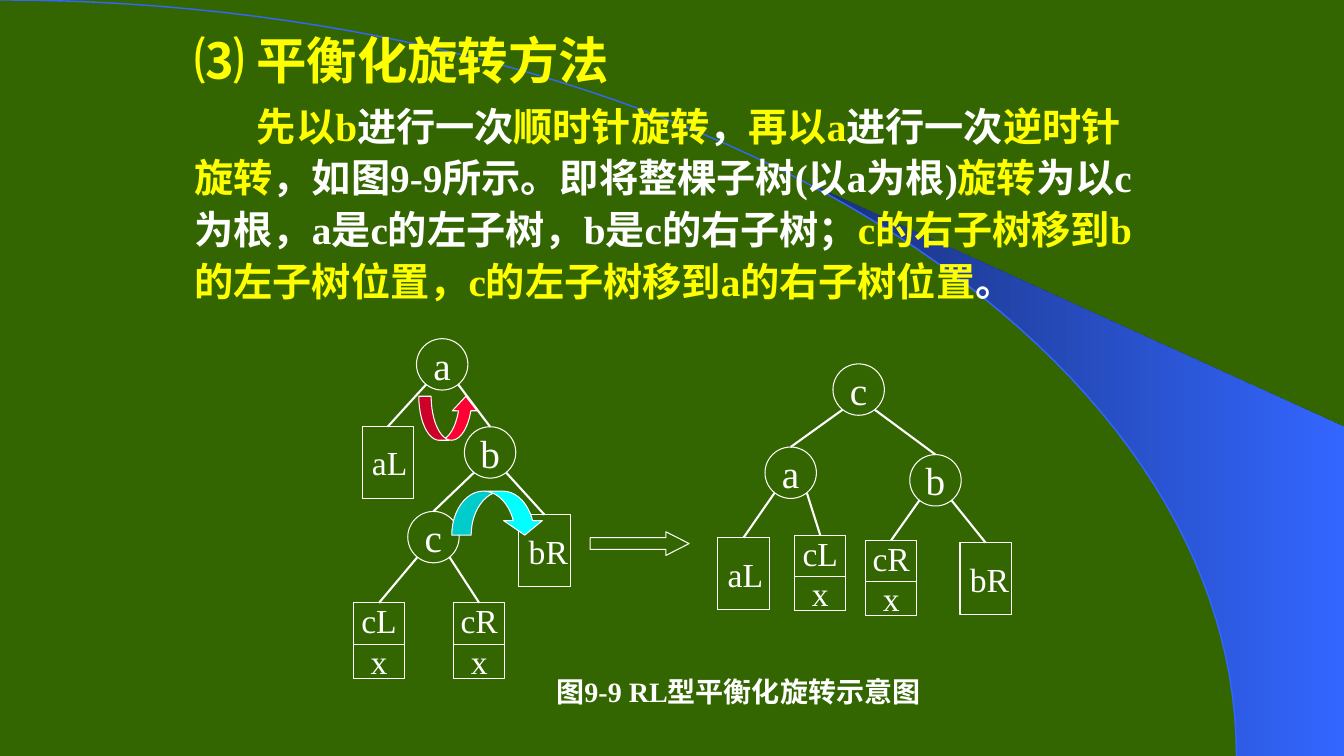
import math
from dataclasses import dataclass
from lxml import etree
from pptx import Presentation
from pptx.dml.color import RGBColor
from pptx.enum.shapes import MSO_CONNECTOR, MSO_SHAPE
from pptx.enum.text import MSO_ANCHOR, PP_ALIGN
from pptx.oxml.ns import qn
from pptx.util import Inches, Pt

LINE = MSO_CONNECTOR.STRAIGHT
RECT, OVAL = MSO_SHAPE.RECTANGLE, MSO_SHAPE.OVAL
ARROW = MSO_SHAPE.RIGHT_ARROW
CURVE_UP, CURVE_DOWN = MSO_SHAPE.CURVED_UP_ARROW, MSO_SHAPE.CURVED_DOWN_ARROW
LEFT, CENTER = PP_ALIGN.LEFT, PP_ALIGN.CENTER
MIDDLE = MSO_ANCHOR.MIDDLE


@dataclass(frozen=True)
class Theme:
    green: RGBColor = RGBColor(0x33, 0x66, 0x00)
    white: RGBColor = RGBColor(0xFF, 0xFF, 0xFF)
    yellow: RGBColor = RGBColor(0xFF, 0xFF, 0x00)
    blue: RGBColor = RGBColor(0x33, 0x66, 0xFF)
    navy: RGBColor = RGBColor(0x18, 0x2F, 0x76)
    red: RGBColor = RGBColor(0xFF, 0x00, 0x33)
    cyan: RGBColor = RGBColor(0x00, 0xFF, 0xFF)
    latin: str = "Times New Roman"
    cjk: str = "Noto Sans CJK SC"
    title: int = 36
    body: int = 28
    leaf: int = 24
    caption: int = 20
    thin: float = 0.75
    edge: float = 1.5


T = Theme()
NODE_W = 0.51
LEAF_H, SPLIT_H = 0.71, 0.75
SPLIT_AT = 0.55  # divider inside a two-part leaf, share of its height

# Body text: yellow and white stretches take turns
BODY = ("先以b", "进行一次", "顺时针旋转", "，", "再以a", "进行一次", "逆时针旋转",
        "，如图9-9所示。即将整棵子树(以a为根)", "旋转",
        "为以c为根，a是c的左子树，b是c的右子树；",
        "c的右子树移到b的左子树位置，c的左子树移到a的右子树位置", "。")

# Trees: label -> (centre x, top y) as shares of the tree's box, then edges
BEFORE = ({"a": (0.41, 0), "aL": (0.16, 0.26), "b": (0.63, 0.26),
           "c": (0.37, 0.51), "bR": (0.88, 0.52),
           "cL": (0.12, 0.78), "cR": (0.58, 0.78)},
          ("a aL", "a b", "b c", "b bR", "c cL", "c cR"))
AFTER = ({"c": (0.48, 0), "a": (0.25, 0.33), "b": (0.74, 0.36),
          "aL": (0.09, 0.69), "cL": (0.35, 0.68),
          "cR": (0.59, 0.7), "bR": (0.91, 0.71)},
         ("c a", "c b", "a aL", "a cL", "b cR", "b bR"))


def style_run(r, size, color, bold=False, latin=T.latin):
    r.font.size, r.font.bold, r.font.name = Pt(size), bold, latin
    r.font.color.rgb = color
    etree.SubElement(r._r.get_or_add_rPr(), qn("a:ea")).set("typeface", T.cjk)


def add_outline(slide, g, box, fill=None):
    sp = slide.shapes.add_shape(g, *(Inches(v) for v in box))
    sp.shadow.inherit = False
    if fill is None:
        sp.fill.background()
    else:
        sp.fill.solid()
        sp.fill.fore_color.rgb = fill
    sp.line.color.rgb, sp.line.width = T.white, Pt(T.thin)
    return sp


def add_line(slide, start, end, width):
    ln = slide.shapes.add_connector(LINE, *(Inches(v) for v in (*start, *end)))
    ln.line.color.rgb, ln.line.width = T.white, Pt(width)
    etree.SubElement(ln._element.spPr, qn("a:effectLst"))
    return ln


def add_background(slide, w, h):
    slide.background.fill.solid()
    slide.background.fill.fore_color.rgb = T.green
    rx, ry = 0.92 * w, h

    def arc(first, steps=60):
        angles = (first + (math.pi / 2 - first) * i / steps for i in range(steps + 1))
        return [(rx * math.sin(t), ry * (1 - math.cos(t))) for t in angles]

    # Blue wedge outside the arc, then the arc itself
    wedge = arc(0.7) + [(w, h), (w, 0.565 * h)]
    for outline, closed in ((wedge, True), (arc(0), False)):
        points = [(Inches(x), Inches(y)) for x, y in outline]
        fb = slide.shapes.build_freeform(*points[0])
        fb.add_line_segments(points[1:], close=closed)
        sp = fb.convert_to_shape()
        sp.shadow.inherit = False
        if closed:
            sp.fill.gradient()
            sp.fill.gradient_angle = 0
            for stop, color in zip(sp.fill.gradient_stops, (T.navy, T.blue)):
                stop.color.rgb = color
            sp.line.fill.background()
        else:
            sp.fill.background()
            sp.line.color.rgb, sp.line.width = T.blue, Pt(1)


def add_explanation(slide, box):
    tf = slide.shapes.add_textbox(*(Inches(v) for v in box)).text_frame
    tf.word_wrap = True
    # Heading
    p = tf.paragraphs[0]
    p.text = "⑶ 平衡化旋转方法"
    p.line_spacing = Pt(48)
    style_run(p.runs[0], T.title, T.yellow, True, T.cjk)
    # Body with a first-line indent
    p = tf.add_paragraph()
    p.line_spacing, p.space_before = Pt(37), Pt(5.6)
    p._p.get_or_add_pPr().set("indent", str(Inches(0.62)))
    for i, text in enumerate(BODY):
        r = p.add_run()
        r.text = text
        style_run(r, T.body, T.white if i % 2 else T.yellow, True)


def add_node(slide, label, cx, top):
    is_leaf, is_split = len(label) == 2, label in ("cL", "cR")
    height = SPLIT_H if is_split else LEAF_H if is_leaf else NODE_W
    left = cx - NODE_W / 2
    sp = add_outline(slide, RECT if is_leaf else OVAL, (left, top, NODE_W, height))
    tf = sp.text_frame
    tf.text = label + "\nx" if is_split else label
    tf.word_wrap, tf.vertical_anchor = False, MIDDLE
    for p in tf.paragraphs:
        p.alignment = LEFT if is_leaf and not is_split else CENTER
        style_run(p.runs[0], T.leaf if is_leaf else T.body, T.white)
    if is_split:
        y = top + SPLIT_AT * height
        add_line(slide, (left, y), (left + NODE_W, y), T.thin)
    return sp


def add_tree(slide, box, tree):
    x, y, w, h = box
    nodes, edges = tree
    spots = {k: (x + fx * w, y + fy * h) for k, (fx, fy) in nodes.items()}
    shapes = {k: add_node(slide, k, *spot) for k, spot in spots.items()}
    # Edges leave the circle's lower flank and end at the child's top
    for parent, child in (e.split() for e in edges):
        (px, py), end = spots[parent], spots[child]
        side = math.copysign(0.16, end[0] - px)
        ln = add_line(slide, (px + side, py + 0.455), end, T.edge)
        ln.end_connect(shapes[child], 0)


def add_arrows(slide, box):
    x, y, w, h = box
    # Shares of the figure box: left, top, width, height; fill; adjustments
    arrows = ((ARROW, (0.36, 0.57, 0.15, 0.07), None, (0.5, 0.98)),
              (CURVE_UP, (0.1, 0.17, 0.09, 0.13), T.red, (0.28, 0.56, 0.33)),
              (CURVE_DOWN, (0.15, 0.45, 0.14, 0.13), T.cyan, (0.44, 0.88, 0.33)))
    for g, (fx, fy, fw, fh), fill, adj in arrows:
        sp = add_outline(slide, g, (x + fx * w, y + fy * h, fw * w, fh * h), fill)
        for i, value in enumerate(adj):
            sp.adjustments[i] = value


def add_caption(slide, box):
    tf = slide.shapes.add_textbox(*(Inches(v) for v in box)).text_frame
    tf.text = "图9-9 RL型平衡化旋转示意图"
    tf.word_wrap, tf.vertical_anchor = True, MIDDLE
    style_run(tf.paragraphs[0].runs[0], T.caption, T.white, True)


def main():
    prs = Presentation()
    prs.slide_width, prs.slide_height = Inches(13.33), Inches(7.5)
    slide = prs.slides.add_slide(prs.slide_layouts[6])
    add_background(slide, 13.33, 7.5)
    add_explanation(slide, (1.83, 0.17, 9.58, 2.95))
    add_tree(slide, (3.5, 3.36, 2.16, 3.36), BEFORE)
    add_tree(slide, (7.11, 3.61, 2.93, 2.5), AFTER)
    add_arrows(slide, (3.5, 3.36, 6.54, 3.36))
    add_caption(slide, (5.42, 6.66, 4.2, 0.39))
    prs.save("out.pptx")


if __name__ == "__main__":
    main()
